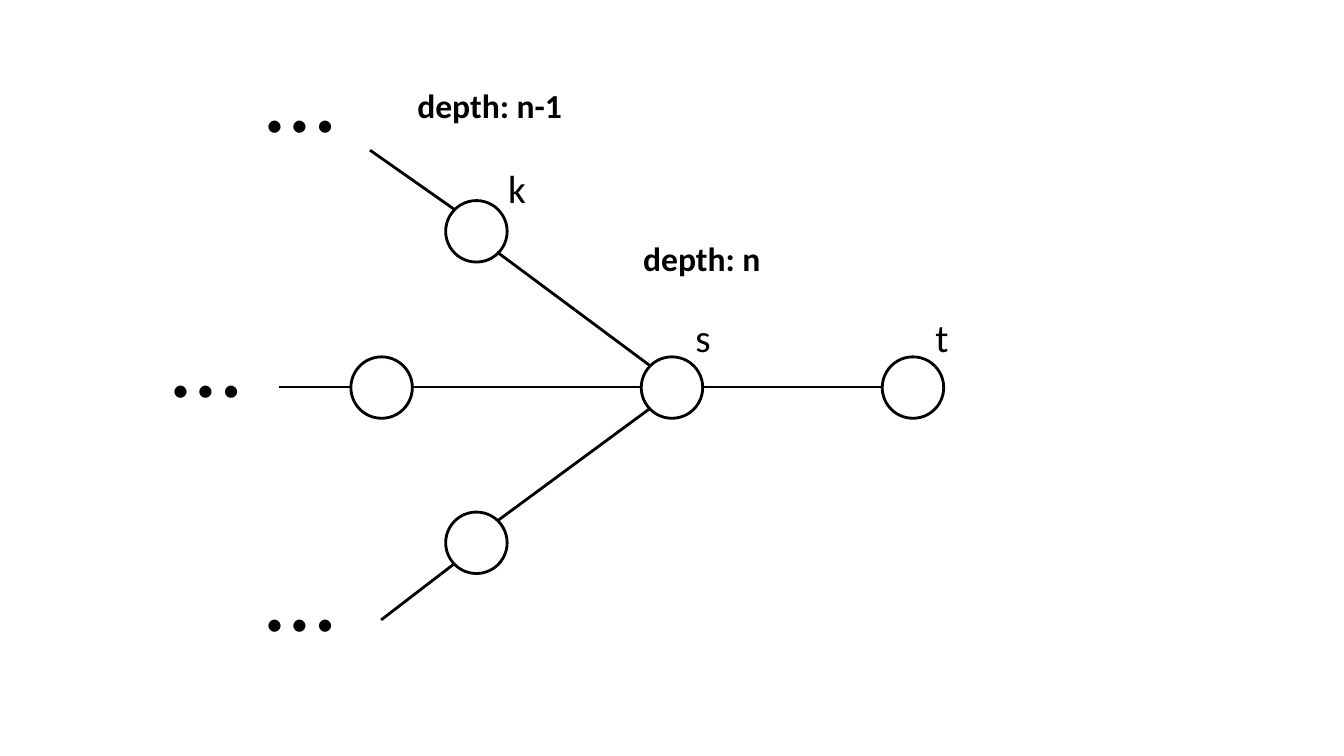
"""Draw a search graph whose branches of depth n-1 meet at s and lead on to t."""
from lxml import etree
from pptx import Presentation
from pptx.dml.color import RGBColor
from pptx.enum.shapes import MSO_CONNECTOR, MSO_SHAPE
from pptx.enum.text import MSO_AUTO_SIZE
from pptx.oxml.ns import qn
from pptx.util import Pt

PX = 9144
SLIDE = (1333, 750)
COLORS = {"ink": "000000"}
FONT = "Calibri"
DIAMETER = 61
RADIUS = DIAMETER // 2
DIAGONAL = round(RADIUS * 0.5 ** 0.5)
STROKE = 2

NODES = {"s": (636, 354), "k": (442, 199), "middle": (348, 354),
         "lower": (442, 508), "t": (875, 354)}

EDGES = [("s", (-1, 0), "middle"), ("s", (-1, -1), "k"),
         ("s", (-1, 1), "lower"), ("t", (-1, 0), "s")]

TAILS = [("k", (-1, -1), (367, 149)), ("middle", (-1, 0), (277, 384)),
         ("lower", (-1, 1), (378, 615))]

STYLES = {"dots": (72, False, 131), "name": (28, False, 57), "depth": (24, True, 50)}

LABELS = [("…", "dots", 160, 289, 90), ("…", "dots", 254, 522, 90),
          ("…", "dots", 254, 27, 90),
          ("s", "name", 680, 306, 36), ("t", "name", 918, 306, 33),
          ("k", "name", 494, 158, 38),
          ("depth: n-1", "depth", 404, 79, 165), ("depth: n", "depth", 628, 231, 138)]


def px(*lengths):
    return [length * PX for length in lengths]


def ink():
    return RGBColor.from_string(COLORS["ink"])


def draw_outline(line):
    line.color.rgb = ink()
    line.width = Pt(STROKE)


def rim(node, dx, dy):
    left, top = NODES[node]
    reach = DIAGONAL if dx and dy else RADIUS
    return left + RADIUS + dx * reach, top + RADIUS + dy * reach


def add_node(shapes, left, top):
    node = shapes.add_shape(MSO_SHAPE.OVAL, *px(left, top, DIAMETER, DIAMETER))
    node.shadow.inherit = False
    node.fill.background()
    draw_outline(node.line)


def add_edge(shapes, start, end):
    edge = shapes.add_connector(MSO_CONNECTOR.STRAIGHT, *px(*start, *end))
    draw_outline(edge.line)
    etree.SubElement(edge._element.spPr, qn("a:effectLst"))


def add_label(shapes, words, style, left, top, width):
    size, bold, height = STYLES[style]
    frame = shapes.add_textbox(*px(left, top, width, height)).text_frame
    frame.word_wrap = False
    frame.auto_size = MSO_AUTO_SIZE.SHAPE_TO_FIT_TEXT
    run = frame.paragraphs[0].add_run()
    run.text = words
    run.font.name = FONT
    run.font.size = Pt(size)
    run.font.bold = bold
    run.font.color.rgb = ink()


def main():
    deck = Presentation()
    deck.slide_width, deck.slide_height = px(*SLIDE)
    shapes = deck.slides.add_slide(deck.slide_layouts[6]).shapes
    for corner in NODES.values():
        add_node(shapes, *corner)
    for source, (dx, dy), target in EDGES:
        add_edge(shapes, rim(source, dx, dy), rim(target, -dx, -dy))
    for source, direction, end in TAILS:
        add_edge(shapes, rim(source, *direction), end)
    for label in LABELS:
        add_label(shapes, *label)
    deck.save("out.pptx")


if __name__ == "__main__":
    main()
